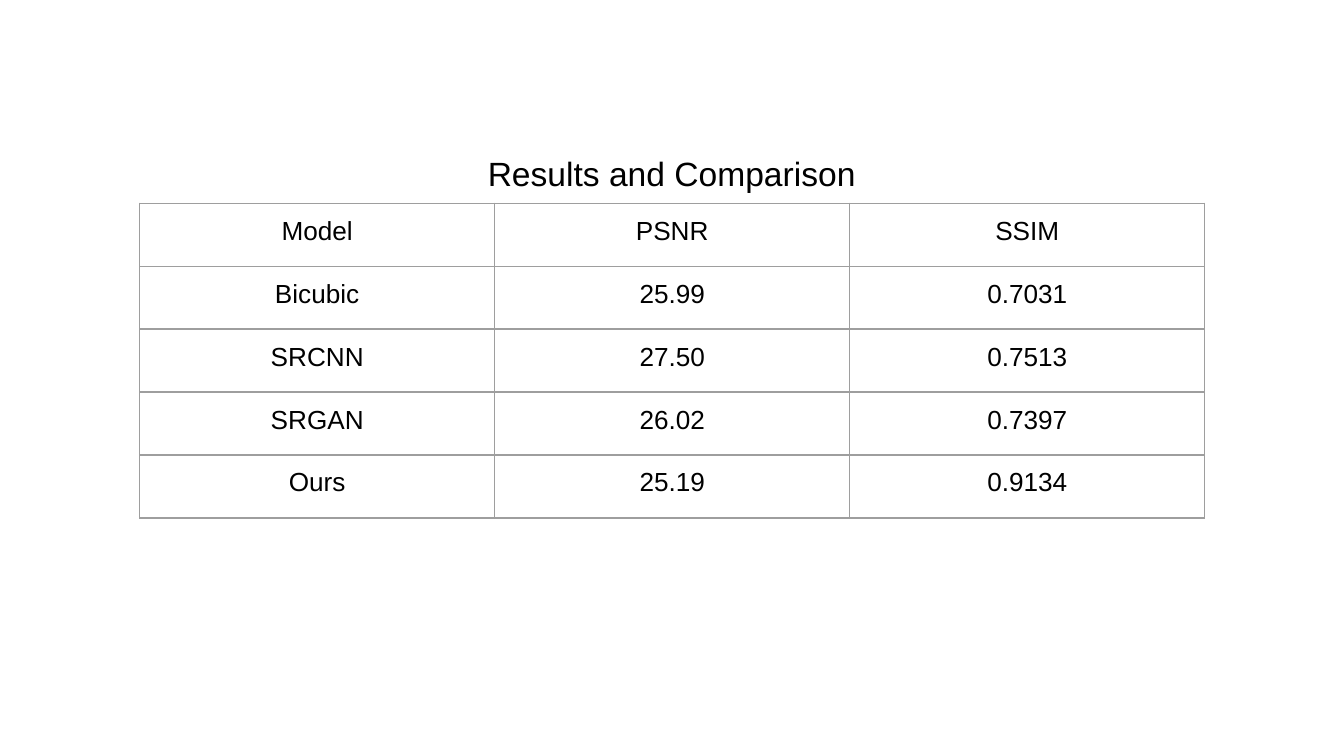
from lxml.etree import SubElement
from pptx import Presentation
from pptx.dml.color import RGBColor
from pptx.enum.text import MSO_ANCHOR as Anchor, PP_ALIGN as Align
from pptx.oxml.ns import qn
from pptx.util import Cm, Pt

TITLE = "Results and Comparison"
ROWS = [
    ("Model", "PSNR", "SSIM"),
    ("Bicubic", "25.99", "0.7031"),
    ("SRCNN", "27.50", "0.7513"),
    ("SRGAN", "26.02", "0.7397"),
    ("Ours", "25.19", "0.9134"),
]
INK, RULE = "000000", "9E9E9E"
COL, ROW, PAD = 6.71, 1.19, 0.25


def color(code):
    return RGBColor.from_string(code)


def write(frame, text, size):
    frame.text = text
    para = frame.paragraphs[0]
    para.alignment = Align.CENTER
    para.space_before = Pt(0)
    font = para.runs[0].font
    font.name, font.size, font.bold = "Arial", Pt(size), False
    font.color.rgb = color(INK)
    return para


def border(cell):
    props = cell._tc.get_or_add_tcPr()
    for index, side in enumerate(("lnL", "lnR", "lnT", "lnB")):
        line = props.makeelement(qn("a:" + side), {"w": str(Pt(0.75))})
        fill = SubElement(line, qn("a:solidFill"))
        SubElement(fill, qn("a:srgbClr"), val=RULE)
        props.insert(index, line)


deck = Presentation()
deck.slide_width, deck.slide_height = Cm(25.4), Cm(14.29)
slide = deck.slides.add_slide(deck.slide_layouts[5])

title = slide.shapes.title
title.left, title.top = Cm(3.17), Cm(2.41)
title.width, title.height = Cm(19.05), Cm(1.17)
frame = title.text_frame
frame.word_wrap = True
frame.vertical_anchor = Anchor.TOP
frame.margin_left = frame.margin_right = Cm(0.18)
frame.margin_top = frame.margin_bottom = Cm(0.1)
write(frame, TITLE, 18).line_spacing = 1.5

wide, high = len(ROWS[0]), len(ROWS)
table = slide.shapes.add_table(
    high, wide, Cm(2.64), Cm(3.84), Cm(COL * wide), Cm(ROW * high)
).table
table.first_row = table.horz_banding = False
for col in table.columns:
    col.width = Cm(COL)
for row, texts in zip(table.rows, ROWS):
    row.height = Cm(ROW)
    for cell, text in zip(row.cells, texts):
        cell.margin_left = cell.margin_right = Cm(PAD)
        cell.margin_top = cell.margin_bottom = Cm(PAD)
        cell.fill.background()
        border(cell)
        write(cell.text_frame, text, 14)

deck.save("out.pptx")
